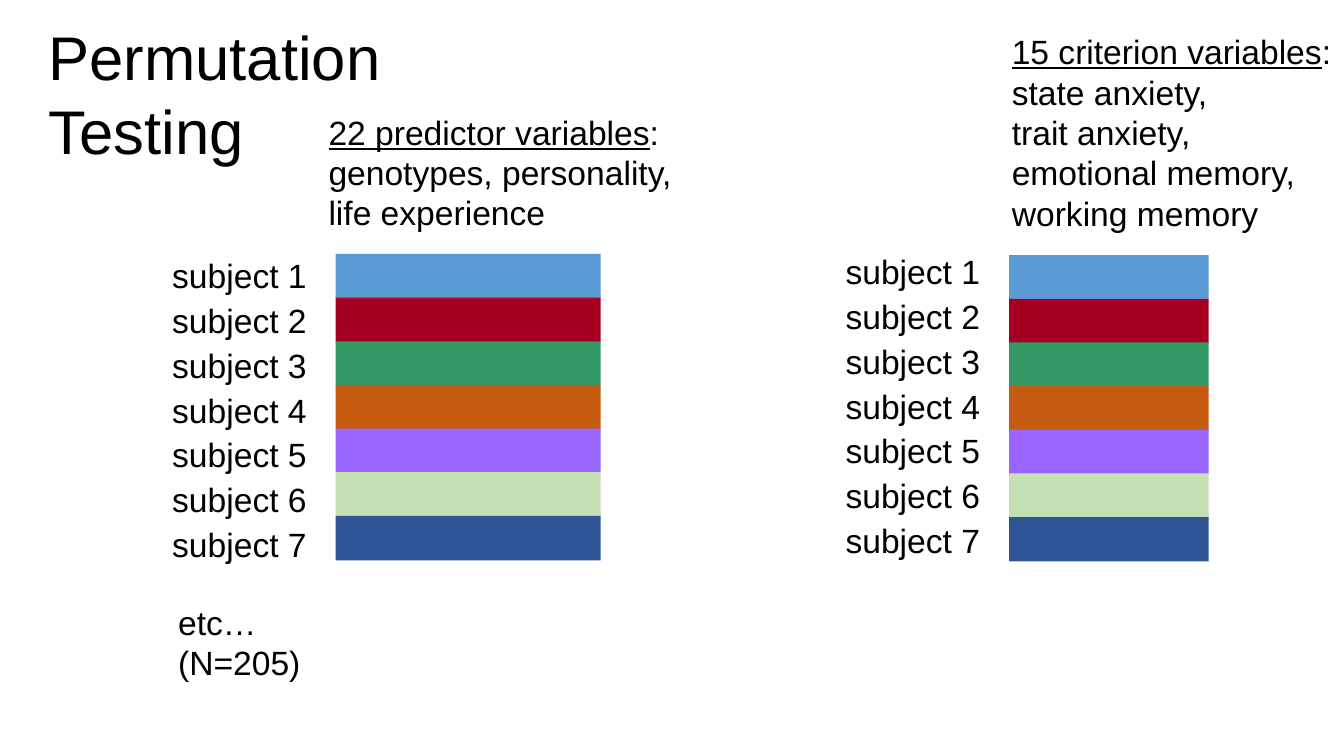
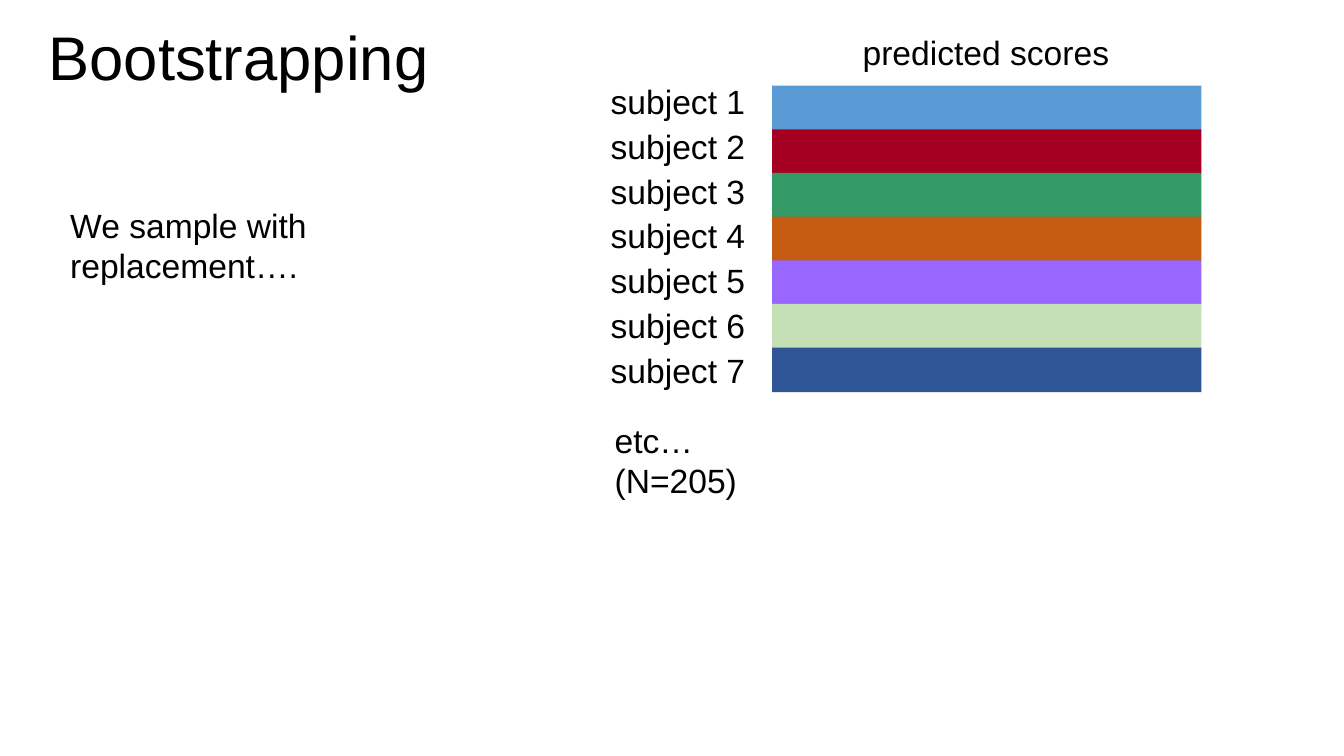
from dataclasses import dataclass

from pptx import Presentation
from pptx.dml.color import RGBColor
from pptx.enum.shapes import MSO_SHAPE as Shape
from pptx.enum.text import MSO_ANCHOR as Anchor, MSO_AUTO_SIZE as AutoSize, PP_ALIGN as Align
from pptx.util import Cm, Pt


@dataclass(frozen=True)
class Theme:
    font: str = "Arial"
    ink: str = "000000"
    paper: str = "FFFFFF"
    title_size: int = 44
    body_size: int = 24
    subjects: tuple = ("5B9BD5", "A50021", "339966", "C55A11", "9966FF", "C5E0B4", "2F5597")
    bar_step: float = 1.1
    bar_height: float = 1.12
    label_step: float = 1.13


def place(*lengths):
    return [Cm(length) for length in lengths]


def apply(target, values):
    for name, value in values.items():
        setattr(target, name, value)


class SlideBuilder:
    def __init__(self, deck, theme):
        self.deck = deck
        self.theme = theme
        self.slide = None

    def new_slide(self, title_lines, width, height):
        self.slide = self.deck.slides.add_slide(self.deck.slide_layouts[5])
        background = self.slide.background.fill
        background.solid()
        background.fore_color.rgb = RGBColor.from_string(self.theme.paper)
        title = self.slide.shapes.title
        bounds = place(0.97, 0.36, width, height)
        apply(title, dict(zip(("left", "top", "width", "height"), bounds)))
        self.fill_text(title, title_lines, self.theme.title_size, wrap=False)

    def fill_text(self, box, lines, size, wrap, underlined=""):
        frame = box.text_frame
        apply(frame, {
            "word_wrap": wrap,
            "auto_size": AutoSize.SHAPE_TO_FIT_TEXT,
            "vertical_anchor": Anchor.TOP,
        })
        for number, line in enumerate(lines):
            para = frame.add_paragraph() if number else frame.paragraphs[0]
            para.alignment = Align.LEFT
            if underlined and number == 0:
                self.add_span(para, underlined, size, underline=True)
            self.add_span(para, line, size)

    def add_span(self, para, text, size, underline=False):
        span = para.add_run()
        span.text = text
        apply(span.font, {"name": self.theme.font, "size": Pt(size), "underline": underline})
        span.font.color.rgb = RGBColor.from_string(self.theme.ink)

    def text(self, lines, bounds, wrap=False, underlined="", parent=None):
        box = (parent or self.slide).shapes.add_textbox(*place(*bounds))
        self.fill_text(box, lines, self.theme.body_size, wrap, underlined)

    def subject_bars(self, left, top, width):
        group = self.slide.shapes.add_group_shape()
        for row, colour in enumerate(self.theme.subjects):
            bounds = place(left, top + row * self.theme.bar_step, width, self.theme.bar_height)
            bar = group.shapes.add_shape(Shape.RECTANGLE, *bounds)
            bar.shadow.inherit = False
            bar.fill.solid()
            bar.fill.fore_color.rgb = RGBColor.from_string(colour)
            bar.line.fill.background()

    def subject_labels(self, left, top):
        group = self.slide.shapes.add_group_shape()
        for row in range(len(self.theme.subjects)):
            bounds = (left, top + row * self.theme.label_step, 3.94, 1.27)
            self.text([f"subject {row + 1}"], bounds, parent=group)

    def sample_size(self, left, top):
        self.text(["etc… ", "(N=205)"], (left, top, 3.63, 2.31))


deck = Presentation()
apply(deck, {"slide_width": Cm(33.87), "slide_height": Cm(19.05)})
builder = SlideBuilder(deck, Theme())

builder.new_slide(["Permutation ", "Testing"], 9.4, 4.01)
builder.subject_bars(25.43, 6.43, 5.03)
builder.text(
    [": state anxiety, ", "trait anxiety, emotional memory, working memory"],
    (25.25, 0.66, 8.61, 5.38), wrap=True, underlined="15 criterion variables",
)
builder.subject_bars(8.46, 6.4, 6.68)
builder.text(
    [": genotypes, personality, life experience"],
    (8.03, 2.69, 9.78, 3.33), wrap=True, underlined="22 predictor variables",
)
builder.subject_labels(4.09, 6.3)
builder.sample_size(4.24, 15.04)
builder.subject_labels(21.06, 6.2)

builder.new_slide(["Bootstrapping"], 10.19, 2.13)
builder.subject_bars(19.46, 2.16, 10.82)
builder.text(["predicted scores"], (21.49, 0.69, 6.78, 1.27))
builder.subject_labels(15.14, 1.91)
builder.sample_size(15.24, 10.46)
builder.text(["We sample with replacement…."], (1.52, 5.03, 9.63, 2.31), wrap=True)

deck.save("out.pptx")
